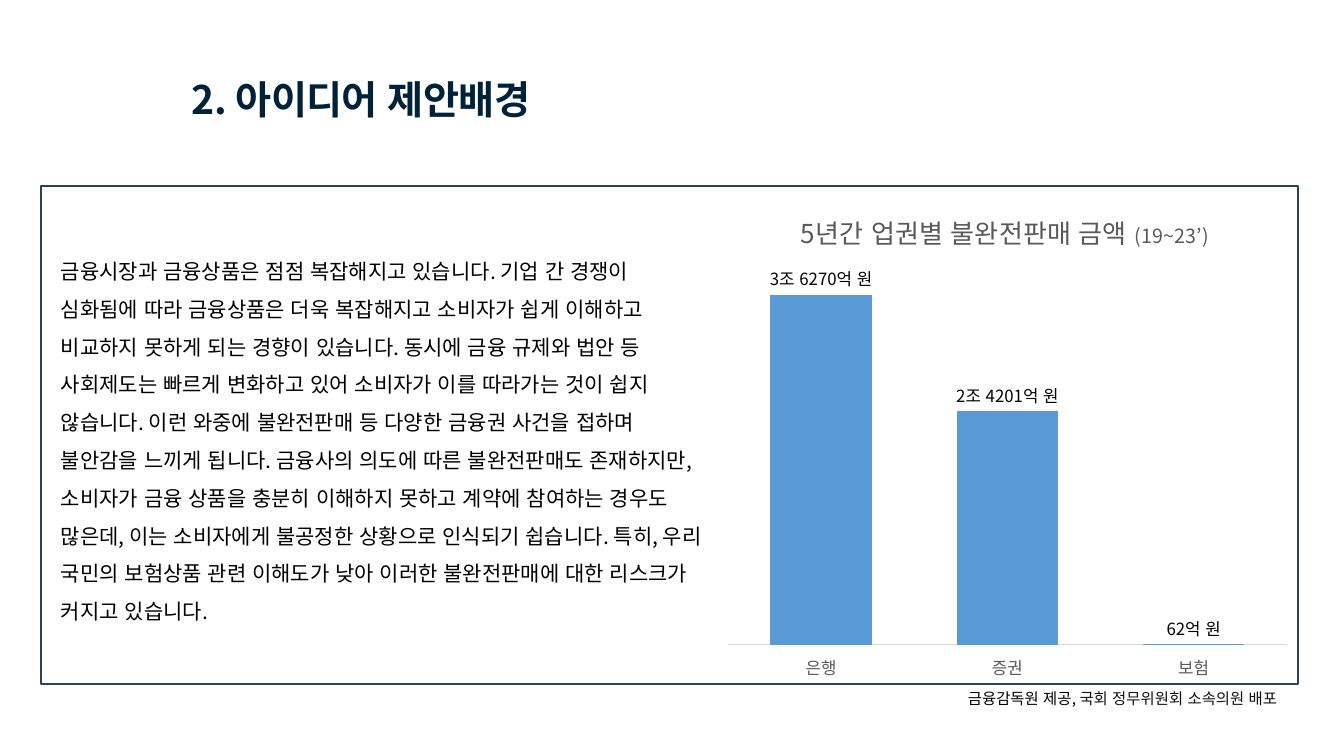
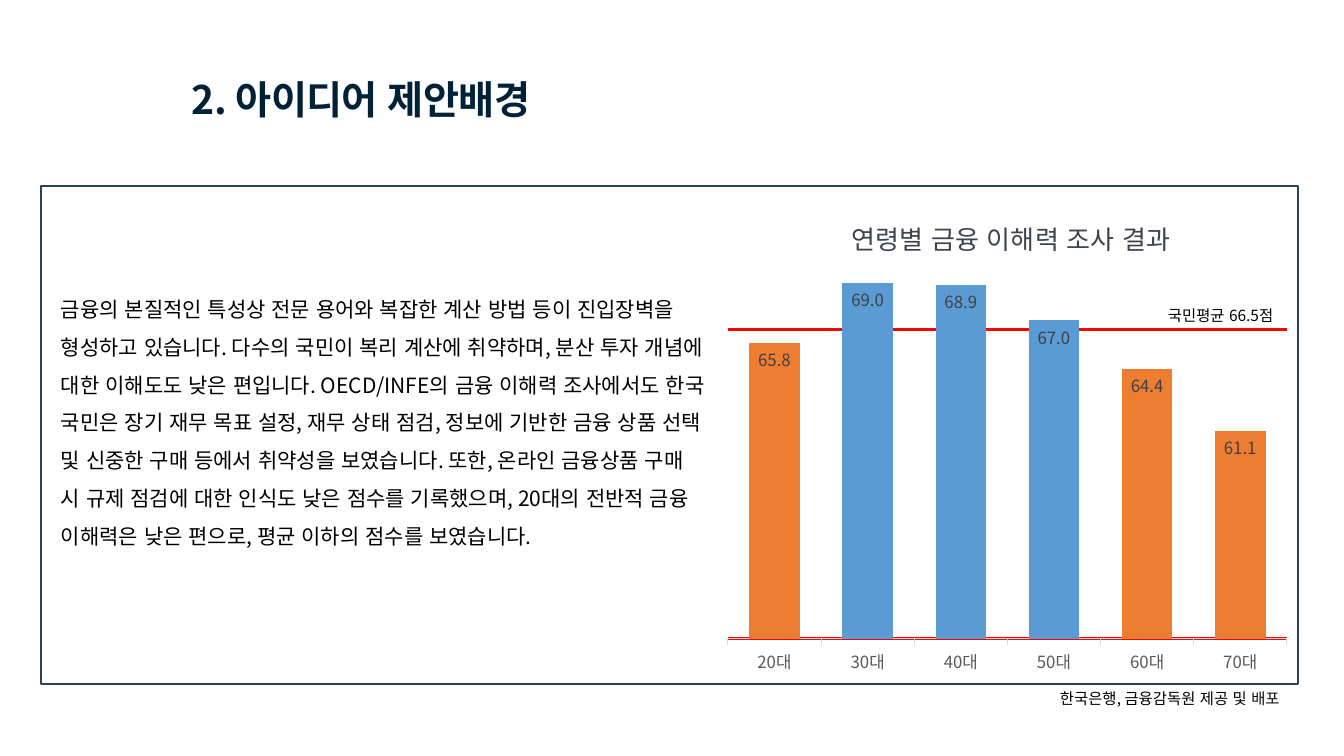
from dataclasses import dataclass

from lxml.etree import SubElement
from pptx import Presentation
from pptx.chart.data import CategoryChartData
from pptx.dml.color import RGBColor
from pptx.enum.chart import XL_CHART_TYPE as ChartType
from pptx.enum.chart import XL_LABEL_POSITION as LabelPosition
from pptx.enum.chart import XL_TICK_LABEL_POSITION as TickLabelPosition
from pptx.enum.chart import XL_TICK_MARK as TickMark
from pptx.enum.lang import MSO_LANGUAGE_ID as Language
from pptx.enum.shapes import MSO_SHAPE as Shape
from pptx.enum.text import MSO_ANCHOR as Anchor
from pptx.enum.text import MSO_AUTO_SIZE as AutoSize
from pptx.enum.text import PP_ALIGN as Align
from pptx.oxml import parse_xml
from pptx.oxml.ns import nsdecls, qn
from pptx.util import Emu, Pt

PX_PER_INCH = 100.8
FONT = "Noto Sans CJK KR"
HEADING = "2. 아이디어 제안배경"
NAVY, FRAME_LINE = "002239", "28445D"
BLACK, NEAR_BLACK = "000000", "111111"
GRAY, LABEL_GRAY, TITLE_GRAY, AXIS_GRAY = "595959", "404040", "3F4350", "D9D9D9"
BLUE, ORANGE, RED = "5B9BD5", "ED7D31", "FF0000"


@dataclass(frozen=True)
class Box:
    left: int
    top: int
    width: int
    height: int


@dataclass(frozen=True)
class Span:
    text: str
    color: str = BLACK
    size: float = 11


@dataclass(frozen=True)
class Note:
    box: Box
    spans: tuple[Span, ...]


@dataclass(frozen=True)
class ColumnChart:
    title: tuple[Span, ...]
    title_at: tuple[int, int]
    plot: Box
    values: dict[str, float]
    scale: tuple[float, float]
    tick: TickMark
    label_position: LabelPosition
    label_color: str
    label_texts: tuple[str, ...] = ()
    number_format: str = "General"
    average: float | None = None


@dataclass(frozen=True)
class Topic:
    body: Note
    chart: ColumnChart
    notes: tuple[Note, ...]


PANEL = Box(41, 186, 1257, 498)
CHART_BOX = Box(717, 186, 582, 498)
TITLE_BOX = Box(192, 75, 369, 47)

TOPICS = (
    Topic(
        body=Note(Box(51, 241, 665, 388), (Span(
            "금융시장과 금융상품은 점점 복잡해지고 있습니다. 기업 간 경쟁이 심화됨에 따라 "
            "금융상품은 더욱 복잡해지고 소비자가 쉽게 이해하고 비교하지 못하게 되는 경향이 "
            "있습니다. 동시에 금융 규제와 법안 등 사회제도는 빠르게 변화하고 있어 소비자가 "
            "이를 따라가는 것이 쉽지 않습니다. 이런 와중에 불완전판매 등 다양한 금융권 사건을 "
            "접하며 불안감을 느끼게 됩니다. 금융사의 의도에 따른 불완전판매도 존재하지만, "
            "소비자가 금융 상품을 충분히 이해하지 못하고 계약에 참여하는 경우도 많은데, 이는 "
            "소비자에게 불공정한 상황으로 인식되기 쉽습니다. 특히, 우리 국민의 보험상품 관련 "
            "이해도가 낮아 이러한 불완전판매에 대한 리스크가 커지고 있습니다.", size=15),)),
        chart=ColumnChart(
            title=(Span("5년간 업권별 불완전판매 금액 ", GRAY, 18.6), Span("(19~23’)", GRAY, 14)),
            title_at=(798, 208),
            plot=Box(728, 259, 559, 386),
            values={"은행": 3_627_000_000_000, "증권": 2_420_100_000_000, "보험": 6_200_000_000},
            scale=(0, 4_000_000_000_000),
            tick=TickMark.NONE,
            label_position=LabelPosition.OUTSIDE_END,
            label_color=BLACK,
            label_texts=("3조 6270억 원", "2조 4201억 원", "62억 원"),
        ),
        notes=(Note(Box(958, 684, 356, 29), (
            Span("금융감독원 제공, "), Span("국회 정무위원회 소속의원 배포", NEAR_BLACK))),),
    ),
    Topic(
        body=Note(Box(51, 279, 665, 312), (Span(
            "금융의 본질적인 특성상 전문 용어와 복잡한 계산 방법 등이 진입장벽을 형성하고 "
            "있습니다. 다수의 국민이 복리 계산에 취약하며, 분산 투자 개념에 대한 이해도도 낮은 "
            "편입니다. OECD/INFE의 금융 이해력 조사에서도 한국 국민은 장기 재무 목표 설정, "
            "재무 상태 점검, 정보에 기반한 금융 상품 선택 및 신중한 구매 등에서 취약성을 "
            "보였습니다. 또한, 온라인 금융상품 구매 시 규제 점검에 대한 인식도 낮은 점수를 "
            "기록했으며, 20대의 전반적 금융 이해력은 낮은 편으로, 평균 이하의 점수를 "
            "보였습니다.", size=15),)),
        chart=ColumnChart(
            title=(Span("연령별 금융 이해력 조사 결과", TITLE_GRAY, 18.6),),
            title_at=(847, 211),
            plot=Box(728, 264, 559, 375),
            values={"20대": 65.8, "30대": 69, "40대": 68.9, "50대": 67, "60대": 64.4, "70대": 61.1},
            scale=(50, 70),
            tick=TickMark.OUTSIDE,
            label_position=LabelPosition.INSIDE_END,
            label_color=LABEL_GRAY,
            number_format="#,##0.0",
            average=66.5,
        ),
        notes=(
            Note(Box(1050, 684, 251, 29), (
                Span("한국은행, 금융감독원 제공 및"), Span(" 배포", NEAR_BLACK))),
            Note(Box(1158, 301, 135, 29), (Span("국민평균 66.5점"),)),
        ),
    ),
)


def px(length: int) -> Emu:
    return Emu(round(length * 914400 / PX_PER_INCH))


def edges(box: Box) -> tuple[Emu, Emu, Emu, Emu]:
    return px(box.left), px(box.top), px(box.width), px(box.height)


def rgb(color: str) -> RGBColor:
    return RGBColor.from_string(color)


def style_font(font, *, size: float, color: str, bold: bool = False) -> None:
    """Format a font for both Latin and Korean letters."""
    font.size, font.bold, font.name = Pt(size), bold, FONT
    font.color.rgb = rgb(color)
    SubElement(font._element, qn("a:ea"), typeface=FONT)


def add_spans(para, spans: tuple[Span, ...], *, bold: bool = False) -> None:
    for span in spans:
        run = para.add_run()
        run.text = span.text
        style_font(run.font, size=span.size, color=span.color, bold=bold)
        run.font.language_id = Language.KOREAN


def add_note(page, note: Note, *, wrap: bool = False, line_spacing: float = 1.0) -> None:
    frame = page.shapes.add_textbox(*edges(note.box)).text_frame
    frame.word_wrap = wrap
    frame.auto_size = AutoSize.SHAPE_TO_FIT_TEXT
    para = frame.paragraphs[0]
    para.line_spacing = line_spacing
    add_spans(para, note.spans)


def set_title(page) -> None:
    title = page.shapes.title
    title.left, title.top, title.width, title.height = edges(TITLE_BOX)
    frame = title.text_frame
    frame.margin_left = frame.margin_top = frame.margin_right = frame.margin_bottom = 0
    frame.vertical_anchor = Anchor.MIDDLE
    frame.auto_size = AutoSize.NONE
    para = frame.paragraphs[0]
    para.alignment = Align.LEFT
    add_spans(para, (Span(HEADING, NAVY, 28),), bold=True)
    para.runs[0].font._element.set("spc", "-40")


def add_panel(page) -> None:
    panel = page.shapes.add_shape(Shape.RECTANGLE, *edges(PANEL))
    panel.shadow.inherit = False
    panel.fill.background()
    panel.line.color.rgb = rgb(FRAME_LINE)
    panel.line.width = Pt(1)


def set_layout(parent, index: int, left: int, top: int, *, size: tuple[int, int] | None = None) -> None:
    """Fix the place of a chart part, given in slide px."""
    for old in parent.findall(qn("c:layout")):
        parent.remove(old)
    settings = {"xMode": "edge", "yMode": "edge",
                "x": (left - CHART_BOX.left) / CHART_BOX.width,
                "y": (top - CHART_BOX.top) / CHART_BOX.height}
    if size:
        settings = {"layoutTarget": "inner", **settings,
                    "w": size[0] / CHART_BOX.width, "h": size[1] / CHART_BOX.height}
    inner = "".join(f'<c:{name} val="{value}"/>' for name, value in settings.items())
    parent.insert(index, parse_xml(
        f'<c:layout {nsdecls("c")}><c:manualLayout>{inner}</c:manualLayout></c:layout>'))


def format_axes(chart, model: ColumnChart) -> None:
    categories, values = chart.category_axis, chart.value_axis
    categories.major_tick_mark = model.tick
    categories.tick_label_position = TickLabelPosition.LOW
    categories.format.line.color.rgb = rgb(AXIS_GRAY)
    categories.format.line.width = Pt(0.75)
    style_font(categories.tick_labels.font, size=12, color=GRAY)
    values.visible = False
    values.minimum_scale, values.maximum_scale = model.scale
    values.has_major_gridlines = model.average is not None
    if model.average is not None:
        values.major_unit = model.average - model.scale[0]
        grid = values.major_gridlines.format.line
        grid.color.rgb = rgb(RED)
        grid.width = Pt(2.25)


def format_columns(chart, model: ColumnChart) -> None:
    """Colour the columns, those below the average in orange, and label them."""
    plot = chart.plots[0]
    plot.gap_width, plot.overlap, plot.vary_by_categories = 84, -100, False
    series = plot.series[0]
    series.invert_if_negative = False
    series.format.fill.solid()
    series.format.fill.fore_color.rgb = rgb(BLUE)
    for index, value in enumerate(model.values.values()):
        if model.average is not None and value < model.average:
            fill = series.points[index].format.fill
            fill.solid()
            fill.fore_color.rgb = rgb(ORANGE)
    labels = series.data_labels
    labels.show_value = True
    labels.number_format, labels.number_format_is_linked = model.number_format, False
    labels.position = model.label_position
    style_font(labels.font, size=12, color=model.label_color)
    for index, text in enumerate(model.label_texts):
        label = series.points[index].data_label
        add_spans(label.text_frame.paragraphs[0], (Span(text, model.label_color, 12),))
        label.position = model.label_position


def add_column_chart(page, model: ColumnChart) -> None:
    data = CategoryChartData()
    data.categories = list(model.values)
    data.add_series("Series 1", list(model.values.values()))
    chart = page.shapes.add_chart(
        ChartType.COLUMN_CLUSTERED, *edges(CHART_BOX), data).chart
    style_font(chart.font, size=10, color=BLACK)
    chart.has_legend = False
    chart.has_title = True
    add_spans(chart.chart_title.text_frame.paragraphs[0], model.title)
    set_layout(chart.chart_title._element, 1, *model.title_at)
    plot = model.plot
    set_layout(chart._chartSpace.chart.plotArea, 0, plot.left, plot.top,
               size=(plot.width, plot.height))
    format_axes(chart, model)
    format_columns(chart, model)


def add_topic(deck, topic: Topic) -> None:
    page = deck.slides.add_slide(deck.slide_layouts.get_by_name("Title Only"))
    set_title(page)
    add_panel(page)
    add_note(page, topic.body, wrap=True, line_spacing=1.5)
    add_column_chart(page, topic.chart)
    for note in topic.notes:
        add_note(page, note)


def main() -> None:
    deck = Presentation()
    deck.slide_width, deck.slide_height = px(1344), px(756)
    for topic in TOPICS:
        add_topic(deck, topic)
    deck.save("out.pptx")


if __name__ == "__main__":
    main()
